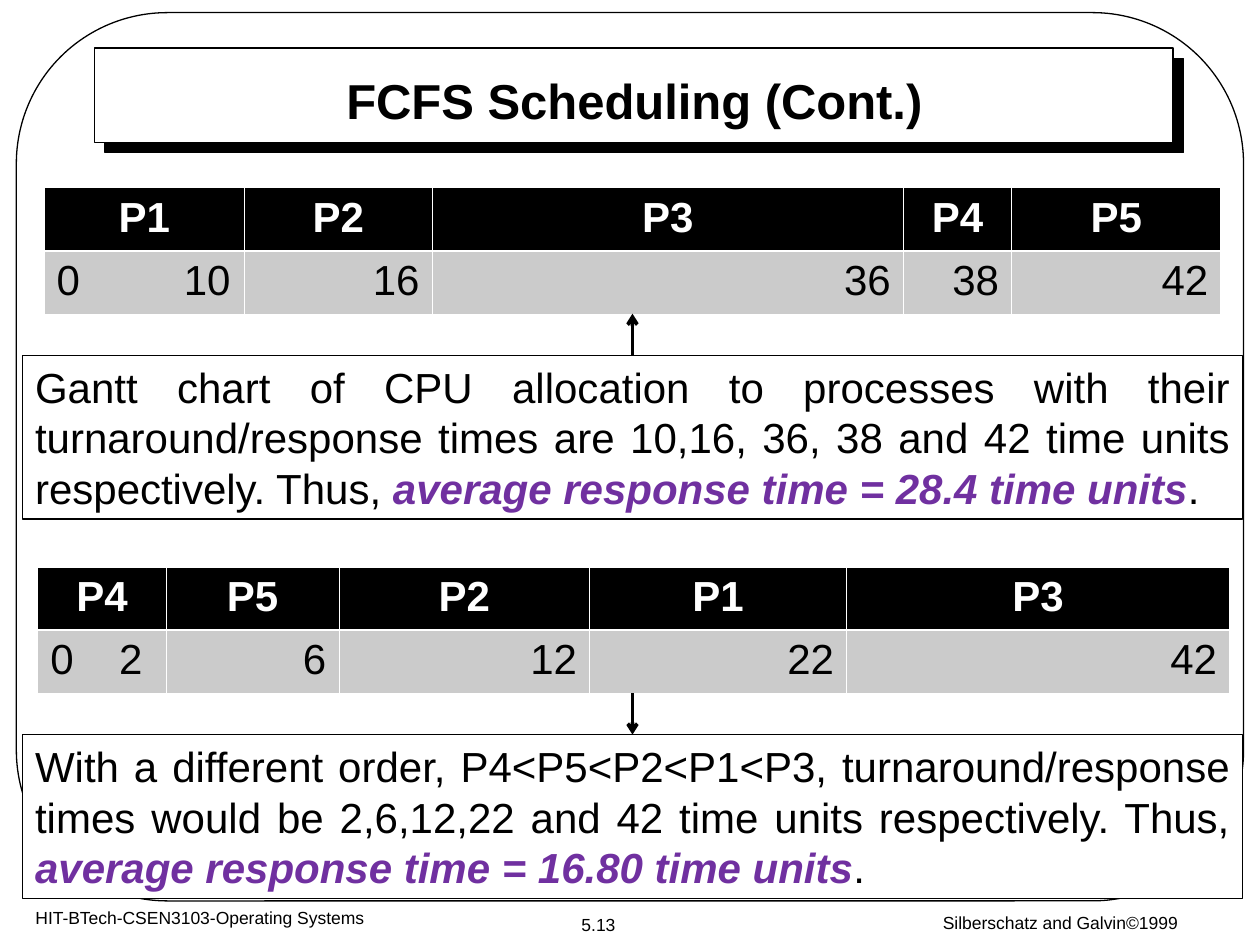
from lxml import etree
from pptx import Presentation, util as u
from pptx.dml.color import RGBColor
from pptx.enum import shapes, text
from pptx.oxml import ns

BLACK = RGBColor(0x00, 0x00, 0x00)
WHITE = RGBColor(0xFF, 0xFF, 0xFF)
GREY = RGBColor(0xCB, 0xCB, 0xCB)
PURPLE = RGBColor(0x70, 0x30, 0xA0)
ALIGN = text.PP_ALIGN
ANCHOR = text.MSO_ANCHOR
MIDDLE_X = 5.02


def add_xml(parent, tag, **attributes):
    return etree.SubElement(parent, ns.qn(tag), attributes)


def add_color(parent, color):
    add_xml(parent, "a:srgbClr", val=str(color))


def inches(*lengths):
    return [u.Inches(length) for length in lengths]


class SlideBuilder:
    font_name = "Arial"
    body_size = 24
    footer_size = 10
    line_width = 0.75
    row_height = 0.5

    def __init__(self, slide):
        self.slide = slide
        self.shapes = slide.shapes

    def style(self, para, size, color=BLACK, bold=False, align=ALIGN.CENTER):
        para.alignment = align
        font = para.font
        font.name, font.size, font.bold = self.font_name, u.Pt(size), bold
        font.color.rgb = color

    def outline(self, shape):
        shape.line.color.rgb = BLACK
        shape.line.width = u.Pt(self.line_width)

    def frame(self, kind, *place, fill=None):
        shape = self.shapes.add_shape(kind, *inches(*place))
        shape.shadow.inherit = False
        if fill is None:
            shape.fill.background()
        else:
            shape.fill.solid()
            shape.fill.fore_color.rgb = fill
        self.outline(shape)
        return shape

    def hard_shadow(self, shape, distance):
        effects = shape.element.spPr.find(ns.qn("a:effectLst"))
        shadow = add_xml(effects, "a:outerShdw", blurRad="0", dist=str(u.Pt(distance)),
                         dir="2700000", algn="ctr", rotWithShape="0")
        add_color(shadow, BLACK)

    def title(self, words, *place):
        """Fill the title placeholder and bring it in front of its panel."""
        title = self.shapes.title
        title.left, title.top, title.width, title.height = inches(*place)
        title.element.getparent().append(title.element)
        frame = title.text_frame
        frame.text = words
        frame.auto_size = text.MSO_AUTO_SIZE.NONE
        frame.vertical_anchor = ANCHOR.MIDDLE
        self.style(frame.paragraphs[0], 28, bold=True)

    def footer(self, words, *place, anchor=ANCHOR.MIDDLE):
        frame = self.shapes.add_textbox(*inches(*place)).text_frame
        frame.word_wrap = True
        frame.vertical_anchor = anchor
        frame.text = words
        self.style(frame.paragraphs[0], self.footer_size)

    def cell(self, cell, words, fill, header, tab=None):
        para = cell.text_frame.paragraphs[0]
        para.text = words
        if tab:
            tabs = add_xml(para._p.get_or_add_pPr(), "a:tabLst")
            add_xml(tabs, "a:tab", pos=str(u.Inches(tab)), algn="r")
        align = ALIGN.CENTER if header else ALIGN.LEFT if tab else ALIGN.RIGHT
        self.style(para, self.body_size, WHITE if header else BLACK, header, align)
        thick_side = "a:lnB" if header else "a:lnT"
        properties = cell._tc.get_or_add_tcPr()
        for side in ("a:lnL", "a:lnR", "a:lnT", "a:lnB"):
            width = 1.47 if side == thick_side else 0.45
            line = add_xml(properties, side, w=str(u.Pt(width)))
            add_color(add_xml(line, "a:solidFill"), WHITE)
        cell.fill.solid()
        cell.fill.fore_color.rgb = fill

    def gantt(self, left, top, widths, processes, times, tab):
        """Draw processes over their finish times; the first time follows a tab."""
        place = inches(left, top, sum(widths), 2 * self.row_height)
        table = self.shapes.add_table(2, len(widths), *place).table
        table.horz_banding = False
        for row in table.rows:
            row.height = u.Inches(self.row_height)
        for index, width in enumerate(widths):
            table.columns[index].width = u.Inches(width)
            self.cell(table.cell(0, index), processes[index], BLACK, True)
            self.cell(table.cell(1, index), times[index], GREY, False,
                      None if index else tab)

    def note(self, top, words, result):
        box = self.shapes.add_textbox(*inches(0.18, top, 9.68, 1.3))
        box.fill.solid()
        box.fill.fore_color.rgb = WHITE
        self.outline(box)
        box.text_frame.word_wrap = True
        para = box.text_frame.paragraphs[0]
        self.style(para, self.body_size, align=ALIGN.JUSTIFY)
        for part in (words, result, "."):
            span = para.add_run()
            span.text = part
            if part == result:
                span.font.bold = span.font.italic = True
                span.font.color.rgb = PURPLE

    def arrow(self, start_y, end_y):
        ends = inches(MIDDLE_X, start_y, MIDDLE_X, end_y)
        line = self.shapes.add_connector(shapes.MSO_CONNECTOR.STRAIGHT, *ends)
        line.line.color.rgb = BLACK
        line.line.width = u.Pt(2)
        add_xml(line.line._get_or_add_ln(), "a:tailEnd", type="arrow")
        add_xml(line.element.spPr, "a:effectLst")


def main():
    deck = Presentation()
    deck.slide_width, deck.slide_height = inches(10, 7.5)
    page = SlideBuilder(deck.slides.add_slide(deck.slide_layouts[5]))

    panel = page.frame(shapes.MSO_SHAPE.RECTANGLE, 0.75, 0.38, 8.56, 0.75, fill=WHITE)
    page.hard_shadow(panel, 8.5)
    border = page.frame(shapes.MSO_SHAPE.ROUNDED_RECTANGLE, 0.13, 0.1, 9.74, 7.05)
    border.adjustments[0] = 0.17
    page.title("FCFS Scheduling (Cont.)", 1.27, 0.54, 7.53, 0.5)

    page.footer("HIT-BTech-CSEN3103-Operating Systems", 0, 7.15, 3.17, 0.35,
                anchor=ANCHOR.TOP)
    page.footer("5.13", 4.28, 7.2, 0.94, 0.27)
    page.footer("Silberschatz and Galvin©1999", 6.83, 7.15, 3.17, 0.35)

    page.gantt(0.35, 1.49, [1.59, 1.49, 3.74, 0.86, 1.66],
               ["P1", "P2", "P3", "P4", "P5"],
               ["0\t10", "16", "36", "38", "42"], tab=1.38)
    page.gantt(0.3, 4.5, [1.02, 1.37, 1.99, 2.04, 3.04],
               ["P4", "P5", "P2", "P1", "P3"],
               ["0\t2", "6", "12", "22", "42"], tab=0.73)

    page.note(2.82, "Gantt chart of CPU allocation to processes with their "
              "turnaround/response times are 10,16, 36, 38 and 42 time units "
              "respectively. Thus, ", "average response time = 28.4 time units")
    page.arrow(2.82, 2.49)
    page.arrow(5.5, 5.83)
    page.note(5.83, "With a different order, P4<P5<P2<P1<P3, turnaround/response "
              "times would be 2,6,12,22 and 42 time units respectively. Thus, ",
              "average response time = 16.80 time units")

    deck.save("out.pptx")


if __name__ == "__main__":
    main()
